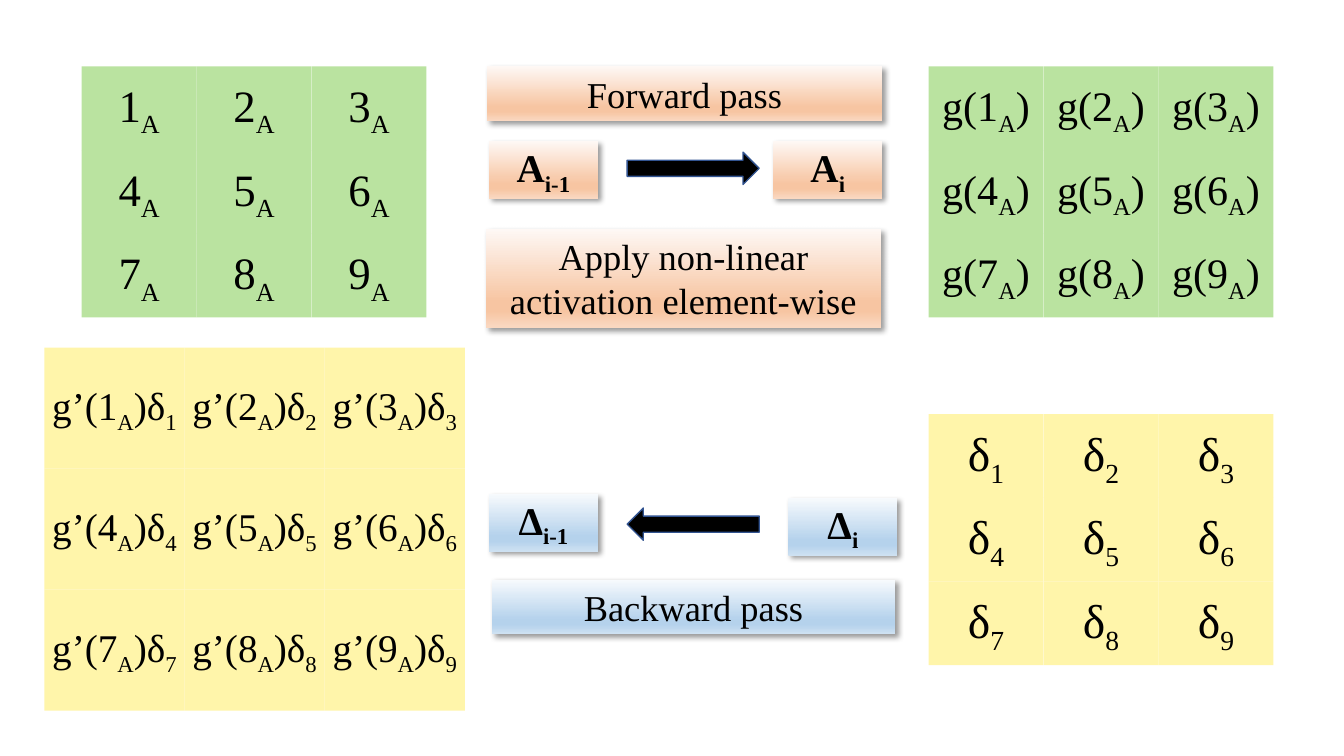
"""Build a slide on the forward and backward pass of an activation layer."""
from dataclasses import dataclass

from lxml import etree
from pptx import Presentation
from pptx.dml.color import RGBColor
from pptx.enum.shapes import MSO_SHAPE
from pptx.enum.text import MSO_ANCHOR, MSO_AUTO_SIZE, PP_ALIGN
from pptx.oxml.ns import qn
from pptx.util import Inches, Pt

RECT = MSO_SHAPE.RECTANGLE
ARROW = MSO_SHAPE.RIGHT_ARROW
MIDDLE = MSO_ANCHOR.MIDDLE
GROW = MSO_AUTO_SIZE.SHAPE_TO_FIT_TEXT
CENTER = PP_ALIGN.CENTER

FONT = "Times New Roman"
BLACK = "000000"
GREEN = "BAE3A0"
YELLOW = "FFF5AA"
ORANGE = ("FEF8F5", "F7C5A2", "F7C5A2", "FAD8C1")
BLUE = ("F7FAFD", "B5D2EC", "B5D2EC", "CEE1F2")
STOPS = (0, 74, 83, 100)


@dataclass
class Grid:
    """A 3 by 3 matrix; text between underscores is subscript."""
    left: float
    top: float
    wide: float
    high: float
    form: str
    size: int
    fill: str


@dataclass
class Label:
    """A shaded box with text."""
    left: float
    top: float
    wide: float
    high: float
    text: str
    size: int
    tones: tuple[str, ...]
    bold: bool = False


@dataclass
class Arrow:
    """A block arrow with its turn in degrees."""
    top: float
    turn: int


GRIDS = [
    Grid(9.21, 4.11, 1.14, 0.83, "δ_{n}", 34, YELLOW),
    Grid(0.44, 3.45, 1.39, 1.2, "g’({n}_A_)δ_{n}", 28, YELLOW),
    Grid(0.81, 0.66, 1.14, 0.83, "{n}_A", 32, GREEN),
    Grid(9.21, 0.66, 1.14, 0.83, "g({n}_A_)", 30, GREEN),
]
LABELS = [
    Label(4.83, 0.66, 3.92, 0.54, "Forward pass", 26, ORANGE),
    Label(4.88, 5.75, 4, 0.54, "Backward pass", 26, BLUE),
    Label(4.82, 2.27, 3.92, 0.98,
          "Apply non-linear activation element-wise", 26, ORANGE),
    Label(4.85, 1.4, 1.08, 0.57, "A_i-1", 28, ORANGE, True),
    Label(4.85, 4.9, 1.08, 0.57, "Δ_i-1", 28, BLUE, True),
    Label(7.67, 1.4, 1.08, 0.57, "A_i", 28, ORANGE, True),
    Label(7.82, 4.94, 1.08, 0.57, "Δ_i", 28, BLUE, True),
]
ARROWS = [Arrow(1.51, 0), Arrow(5.04, 180)]


def paint(fill, tone: str) -> None:
    """Make a fill solid in one colour."""
    fill.solid()
    fill.fore_color.rgb = RGBColor.from_string(tone)


def add_box(parent, kind, left: float, top: float, wide: float, high: float):
    """Add a preset shape without shadow or line."""
    box = parent.shapes.add_shape(
        kind, Inches(left), Inches(top), Inches(wide), Inches(high))
    box.shadow.inherit = False
    box.line.fill.background()
    return box


def write(box, text: str, *, size: int, bold: bool = False,
          inset: float | None = None, grow: bool = False) -> None:
    """Write centred text, lowering each part between underscores."""
    frame = box.text_frame
    frame.word_wrap = True
    frame.vertical_anchor = MIDDLE
    if grow:
        frame.auto_size = GROW
    if inset is not None:
        frame.margin_left = frame.margin_right = Inches(inset)
        frame.margin_top = frame.margin_bottom = Inches(inset)
    para = frame.paragraphs[0]
    para.alignment = CENTER
    for i, part in enumerate(text.split("_")):
        if not part:
            continue
        run = para.add_run()
        run.text = part
        run.font.name = FONT
        run.font.size = Pt(size)
        run.font.bold = bold
        paint(run.font.fill, BLACK)
        if i % 2:
            run.font._element.set("baseline", "-25000")


def shade(box, tones: tuple[str, ...]) -> None:
    """Give a box a downward gradient and a soft shadow."""
    box.fill.gradient()
    box.fill.gradient_angle = 270
    props = box._element.spPr
    stops = props.find(".//" + qn("a:gsLst"))
    for old in list(stops):
        stops.remove(old)
    for pos, tone in zip(STOPS, tones):
        stop = etree.SubElement(stops, qn("a:gs"), pos=str(pos * 1000))
        etree.SubElement(stop, qn("a:srgbClr"), val=tone)
    cast = etree.SubElement(
        props.find(qn("a:effectLst")), qn("a:outerShdw"),
        blurRad=str(Pt(4)), dist=str(Pt(3)), dir="2700000",
        algn="tl", rotWithShape="0")
    tint = etree.SubElement(cast, qn("a:srgbClr"), val=BLACK)
    etree.SubElement(tint, qn("a:alpha"), val="40000")


def draw_grid(slide, grid: Grid) -> None:
    """Draw a matrix as one group of nine cells."""
    group = slide.shapes.add_group_shape()
    for i in range(9):
        row, col = divmod(i, 3)
        cell = add_box(group, RECT, grid.left + col * grid.wide,
                       grid.top + row * grid.high, grid.wide, grid.high)
        paint(cell.fill, grid.fill)
        write(cell, grid.form.format(n=i + 1), size=grid.size, inset=0)


def draw_label(slide, label: Label) -> None:
    """Draw a shaded text box."""
    box = add_box(slide, RECT, label.left, label.top, label.wide, label.high)
    shade(box, label.tones)
    write(box, label.text, size=label.size, bold=label.bold, grow=True)


def draw_arrow(slide, arrow: Arrow) -> None:
    """Draw a black block arrow."""
    box = add_box(slide, ARROW, 6.22, arrow.top, 1.31, 0.32)
    box.rotation = arrow.turn
    paint(box.fill, BLACK)
    paint(box.line.fill, "325491")
    box.line.width = Pt(1)


def main() -> None:
    """Build and save the slide."""
    deck = Presentation()
    deck.slide_width = Inches(13.33)
    deck.slide_height = Inches(7.5)
    slide = deck.slides.add_slide(deck.slide_layouts[6])
    for grid in GRIDS:
        draw_grid(slide, grid)
    for label in LABELS:
        draw_label(slide, label)
    for arrow in ARROWS:
        draw_arrow(slide, arrow)
    deck.save("out.pptx")


if __name__ == "__main__":
    main()
